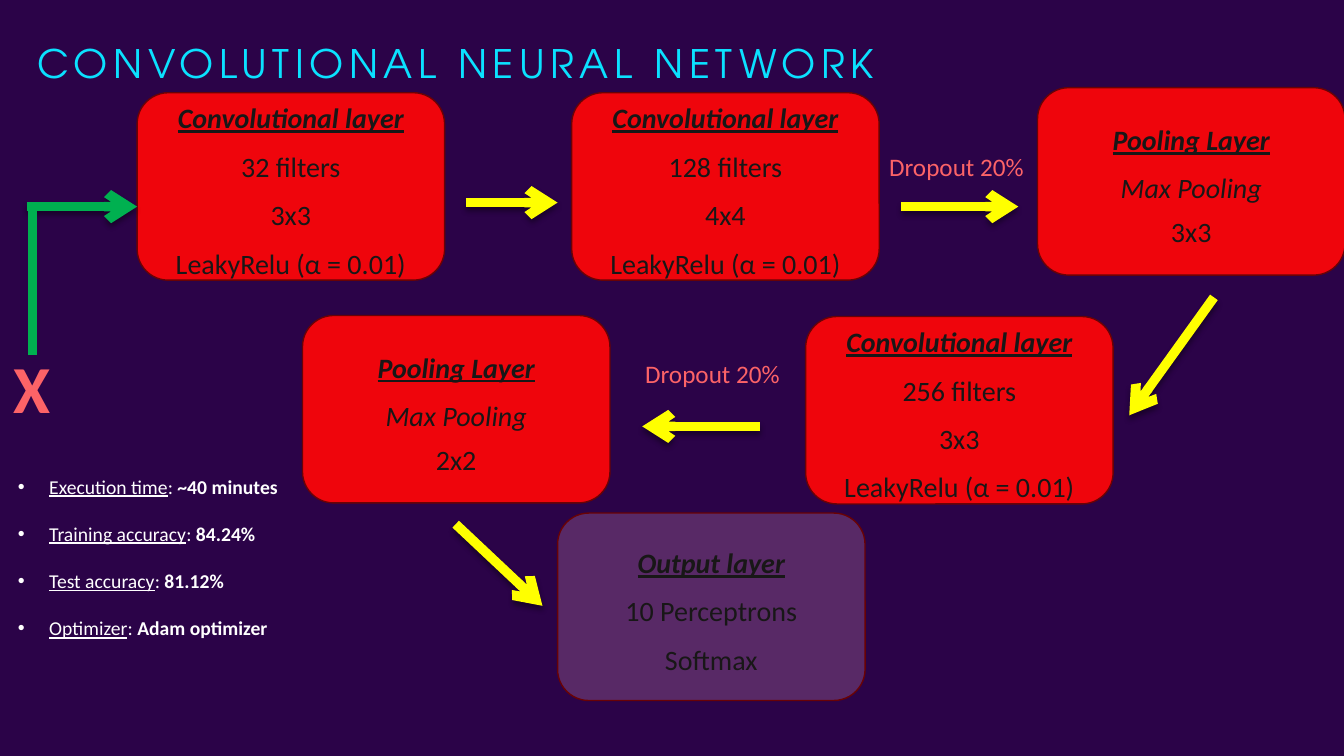
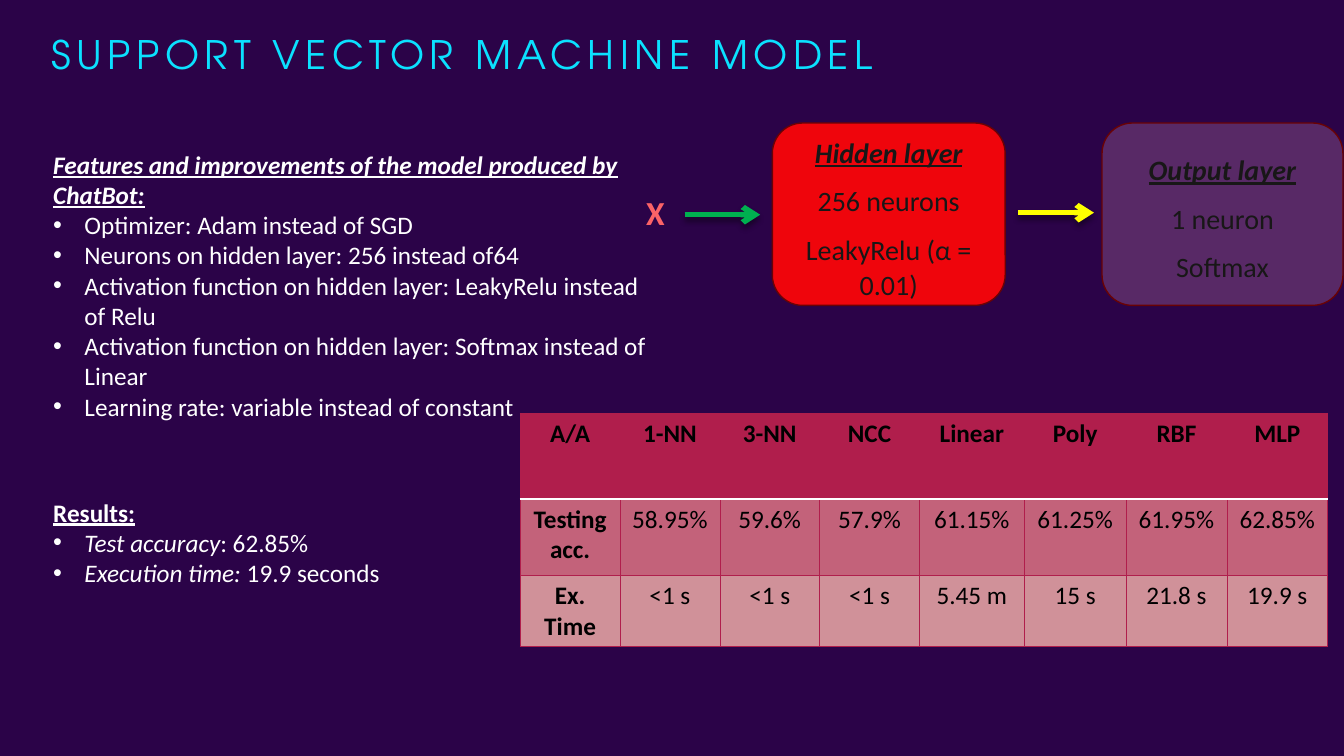
from lxml import etree
from pptx import Presentation
from pptx.dml.color import RGBColor
from pptx.enum.shapes import MSO_CONNECTOR as Line, MSO_SHAPE as Shape
from pptx.enum.text import MSO_ANCHOR as Anchor, PP_ALIGN as Align
from pptx.oxml import parse_xml
from pptx.oxml.ns import nsdecls, qn
from pptx.util import Inches, Pt

# Shared look
NIGHT, CYAN, WHITE, BLACK, INK = "2B0348", "0BE1FF", "FFFFFF", "000000", "181717"
RED, PURPLE, EDGE, CORAL = "EF050C", "582966", "690205", "FC6367"
YELLOW, GREEN = "FFFF00", "00B050"
CRIMSON, ROSE, PALE_ROSE = "B01E4C", "C3627A", "D09199"
BODY_FONT, TITLE_FONT = "Calibri", "TeX Gyre Adventor"

# Slide 1 content: place, fill, heading, lines
LEAKY = "LeakyRelu (α = 0.01)"
CONV, POOL, OUTPUT = "Convolutional layer", "Pooling Layer", "Output layer"
BOX_W, BOX_H = 3.05, 1.86
CNN_LAYERS = [
    (1.36, 0.92, RED, CONV, ["32 filters", "3x3", LEAKY]),
    (5.67, 0.92, RED, CONV, ["128 filters", "4x4", LEAKY]),
    (10.29, 0.87, RED, POOL, ["Max Pooling", "3x3"]),
    (7.99, 3.14, RED, CONV, ["256 filters", "3x3", LEAKY]),
    (3, 3.13, RED, POOL, ["Max Pooling", "2x2"]),
    (5.53, 5.09, PURPLE, OUTPUT, ["10 Perceptrons", "Softmax"]),
]
CNN_ARROWS = [  # start, end, colour
    ((4.62, 2.01), (5.53, 2.01), YELLOW),
    ((8.94, 2.05), (10.1, 2.05), YELLOW),
    ((12.04, 2.95), (11.2, 4.12), YELLOW),
    ((7.54, 4.23), (6.37, 4.23), YELLOW),
    ((4.52, 5.2), (5.38, 6.01), YELLOW),
    ((0.27, 2.05), (1.36, 2.05), GREEN),
]
DROPOUTS = [(8.72, 1.45), (6.3, 3.51)]

# Rich text: paragraphs of (bulleted, [(text, style letters), ...])
CNN_RESULTS = [
    (True, [(name, "u"), (": ", ""), (value, "b")])
    for name, value in [
        ("Execution time", "~40 minutes"),
        ("Training accuracy", "84.24%"),
        ("Test accuracy", "81.12%"),
        ("Optimizer", "Adam optimizer"),
    ]
]

# Slide 2 content
FEATURES = [
    (False, [("Features and improvements of the model produced by ChatBot:", "biu")]),
] + [(True, [(text, "")]) for text in [
    "Optimizer: Adam instead of SGD",
    "Neurons on hidden layer: 256 instead of64",
    "Activation function on hidden layer: LeakyRelu instead of Relu",
    "Activation function on hidden layer: Softmax instead of Linear",
    "Learning rate: variable instead of constant",
]]
SVM_RESULTS = [
    (False, [("Results:", "bu")]),
    (True, [("Test accuracy", "i"), (": 62.85%", "")]),
    (True, [("Execution time: ", "i"), ("19.9 seconds", "")]),
]
SVM_LAYERS = [  # left, width, fill, heading, lines
    (7.66, 2.31, RED, "Hidden layer", ["256 neurons", LEAKY]),
    (10.93, 2.39, PURPLE, OUTPUT, ["1 neuron", "Softmax"]),
]
SVM_ARROWS = [
    ((6.79, 2.13), (7.54, 2.13), GREEN),
    ((10.1, 2.11), (10.85, 2.11), YELLOW),
]
SCORES = [
    ["A/A", "1-NN", "3-NN", "NCC", "Linear", "Poly", "RBF", "MLP"],
    ["Testing acc.", "58.95%", "59.6%", "57.9%", "61.15%", "61.25%", "61.95%", "62.85%"],
    ["Ex. Time", "<1 s", "<1 s", "<1 s", "5.45 m", "15 s", "21.8 s", "19.9 s"],
]
COL_WIDTHS = [0.99, 0.99, 0.99, 0.99, 1.04, 1.01, 1, 1]
ROW_HEIGHTS = [0.85, 0.76, 0.7]
ROW_FILLS = [CRIMSON, ROSE, PALE_ROSE]


def rgb(color):
    return RGBColor.from_string(color)


def style_run(r, size, color, style="", font=BODY_FONT):
    r.font.name, r.font.size = font, Pt(size)
    r.font.color.rgb = rgb(color)
    r.font.bold, r.font.italic, r.font.underline = (c in style for c in "biu")


def add_titled_slide(prs, title, left, top, height):
    s = prs.slides.add_slide(prs.slide_layouts[5])
    sp = s.shapes.title
    sp.left, sp.top, sp.width, sp.height = map(Inches, (left, top, 12.9, height))
    tf = sp.text_frame
    tf.text = title
    tf.vertical_anchor = Anchor.TOP
    p = tf.paragraphs[0]
    p.alignment, p.line_spacing = Align.LEFT, 0.9
    style_run(p.runs[0], 28, CYAN, font=TITLE_FONT)
    p.runs[0].font._element.set("spc", "400")
    return s


def add_text(s, place, paragraphs, size, color=WHITE, gap=0):
    tf = s.shapes.add_textbox(*map(Inches, place)).text_frame
    tf.word_wrap = True
    for i, (bulleted, runs) in enumerate(paragraphs):
        p = tf.paragraphs[0] if i == 0 else tf.add_paragraph()
        if i:
            p.space_before = Pt(gap)
        if bulleted:
            pPr = p._p.get_or_add_pPr()
            pPr.set("marL", str(Inches(0.31)))
            pPr.set("indent", str(-Inches(0.31)))
            etree.SubElement(pPr, qn("a:buFont")).set("typeface", "Arial")
            etree.SubElement(pPr, qn("a:buChar")).set("char", "•")
        for text, style in runs:
            r = p.add_run()
            r.text = text
            style_run(r, size, color, style)


def add_layer(s, place, fill, heading, lines):
    sp = s.shapes.add_shape(Shape.ROUNDED_RECTANGLE, *map(Inches, place))
    sp.shadow.inherit = False
    sp.fill.solid()
    sp.fill.fore_color.rgb = rgb(fill)
    sp.line.color.rgb = rgb(EDGE)
    sp.line.width = Pt(1)
    tf = sp.text_frame
    tf.word_wrap = True
    tf.vertical_anchor = Anchor.MIDDLE
    tf.margin_top, tf.margin_bottom = Inches(0.06), 0
    tf.text = "\n".join([heading] + lines)
    last = len(lines)
    for i, p in enumerate(tf.paragraphs):
        p.alignment = Align.CENTER
        tight = heading == POOL and i == last
        if not tight:
            p.line_spacing = 1.05
        p.space_before = Pt(0 if i == 0 or tight else 2.2)
        p.space_after = Pt(0 if i == last else 7.2)
        style = "biu" if i == 0 else "i" if p.text == "Max Pooling" else ""
        style_run(p.runs[0], 20, INK, style)


def add_line(s, start, end, color, width, arrow=True):
    ends = map(Inches, start + end)
    sp = s.shapes.add_connector(Line.STRAIGHT, *ends)
    sp.line.color.rgb = rgb(color)
    sp.line.width = Pt(width)
    spPr = sp._element.spPr
    effects = etree.SubElement(spPr, qn("a:effectLst"))
    if arrow:
        etree.SubElement(sp.line._get_or_add_ln(), qn("a:tailEnd")).set("type", "arrow")
        effects.append(parse_xml(
            f'<a:outerShdw {nsdecls("a")} blurRad="{Pt(4)}" dist="{Pt(3)}" dir="5400000" '
            'rotWithShape="0"><a:srgbClr val="000000"><a:alpha val="40000"/></a:srgbClr>'
            '</a:outerShdw>'))


def set_borders(cell, sides):
    tcPr = cell._tc.get_or_add_tcPr()
    for i, (side, (color, width)) in enumerate(sides.items()):
        tcPr.insert(i, parse_xml(
            f'<a:ln{side} {nsdecls("a")} w="{Pt(width)}"><a:solidFill>'
            f'<a:srgbClr val="{color}"/></a:solidFill></a:ln{side}>'))


def add_scores(s, left, top):
    size = Inches(sum(COL_WIDTHS)), Inches(sum(ROW_HEIGHTS))
    table = s.shapes.add_table(len(SCORES), len(COL_WIDTHS),
                               Inches(left), Inches(top), *size).table
    for column, width in zip(table.columns, COL_WIDTHS):
        column.width = Inches(width)
    thin, rule = (CRIMSON, 0.5), (WHITE, 1)
    for i, values in enumerate(SCORES):
        table.rows[i].height = Inches(ROW_HEIGHTS[i])
        for j, value in enumerate(values):
            cell = table.cell(i, j)
            cell.fill.solid()
            cell.fill.fore_color.rgb = rgb(ROW_FILLS[i])
            set_borders(cell, {"L": thin, "R": thin,
                               "T": rule if i == 1 else thin,
                               "B": rule if i == 0 else thin})
            cell.text_frame.text = value
            p = cell.text_frame.paragraphs[0]
            p.alignment = Align.CENTER
            style_run(p.runs[0], 18, BLACK, "b" if i == 0 or j == 0 else "")


def build_cnn(prs):
    s = add_titled_slide(prs, "CONVOLUTIONAL NEURAL NETWORK", 0.27, 0.39, 0.63)
    for left, top, *layer in CNN_LAYERS:
        add_layer(s, (left, top, BOX_W, BOX_H), *layer)
    for arrow in CNN_ARROWS:
        add_line(s, *arrow, 6.75)
    add_line(s, (0.32, 2.05), (0.32, 3.52), GREEN, 6.75, arrow=False)
    add_text(s, (0.04, 3.39, 0.68, 0.91), [(False, [("X", "b")])], 48, CORAL)
    for left, top in DROPOUTS:
        add_text(s, (left, top, 1.79, 0.4), [(False, [("Dropout 20%", "")])], 18, CORAL)
    add_text(s, (0.08, 4.66, 2.9, 1.9), CNN_RESULTS, 14, gap=16.8)


def build_svm(prs):
    s = add_titled_slide(prs, "SUPPORT VECTOR MACHINE MODEL", 0.41, 0.3, 1.13)
    add_text(s, (0.43, 1.43, 6.24, 2.83), FEATURES, 18)
    add_text(s, (0.43, 4.88, 4.73, 1.01), SVM_RESULTS, 18)
    add_scores(s, 5.16, 4.1)
    for left, width, *layer in SVM_LAYERS:
        add_layer(s, (left, 1.22, width, 1.81), *layer)
    for arrow in SVM_ARROWS:
        add_line(s, *arrow, 4)
    add_text(s, (6.31, 1.85, 0.68, 0.5), [(False, [("X", "b")])], 24, CORAL)


def main():
    prs = Presentation()
    prs.slide_width, prs.slide_height = Inches(13.33), Inches(7.5)
    background = prs.slide_master.background.fill
    background.solid()
    background.fore_color.rgb = rgb(NIGHT)
    build_cnn(prs)
    build_svm(prs)
    prs.save("out.pptx")


if __name__ == "__main__":
    main()
